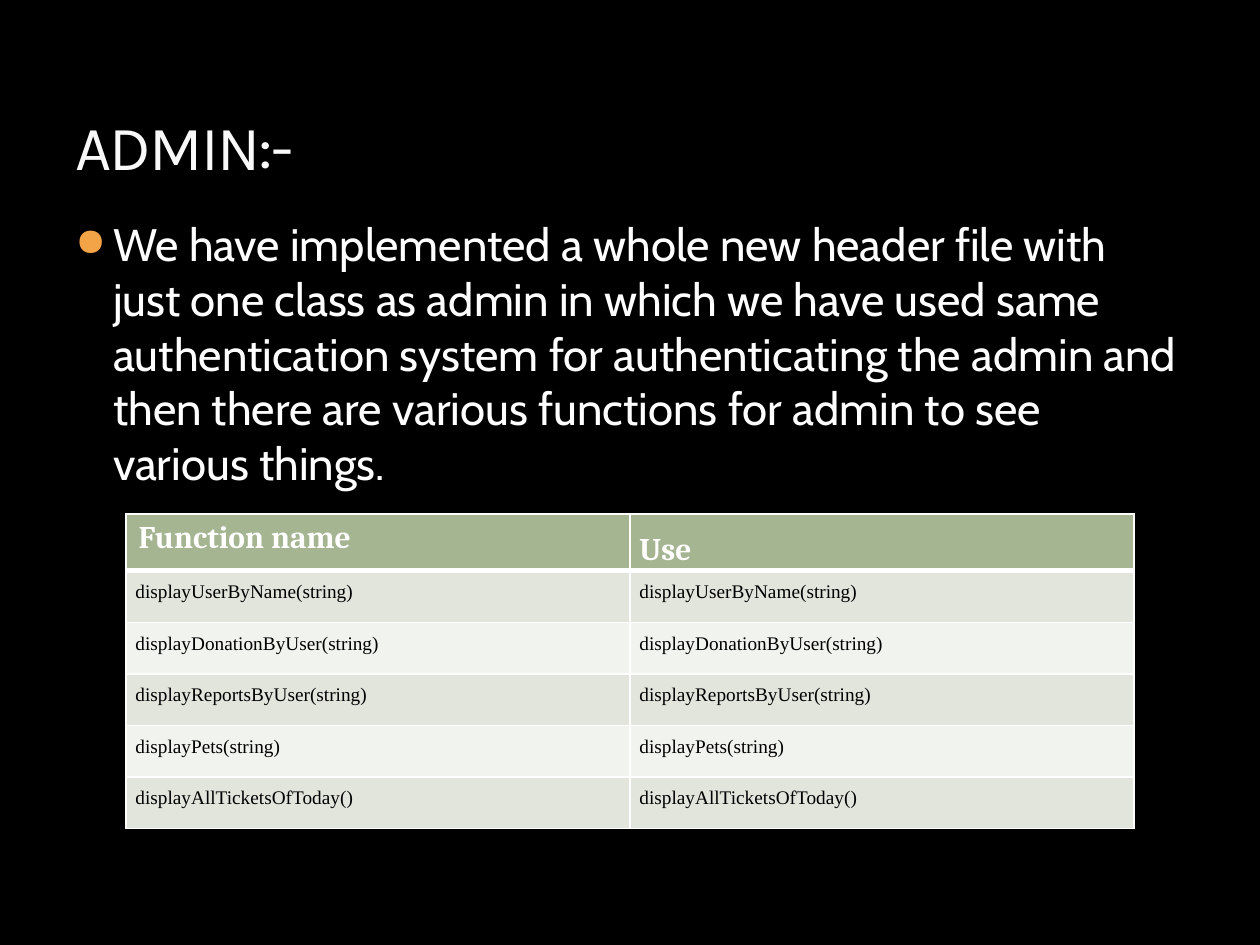
from lxml import etree
from pptx import Presentation
from pptx import util as u
from pptx.dml.color import RGBColor
from pptx.enum import text
from pptx.oxml import ns

BLACK = RGBColor(0x00, 0x00, 0x00)
WHITE = RGBColor(0xFF, 0xFF, 0xFF)
TITLE_WHITE = RGBColor(0xF9, 0xF9, 0xF9)
OUTLINE = RGBColor(0x3C, 0x44, 0x22)
ORANGE = RGBColor(0xF3, 0xA4, 0x47)
HEADER_GREEN = RGBColor(0xA5, 0xB5, 0x92)
BANDS = (RGBColor(0xE1, 0xE5, 0xDC), RGBColor(0xF0, 0xF3, 0xEE))

TITLE_FONT = {"name": "Karla", "size": u.Pt(36)}
BODY_FONT = {"name": "Cabin", "size": u.Pt(26)}
HEADER_FONT = {"name": "Cambria", "size": u.Pt(18), "bold": True}
CELL_FONT = {"name": "Times New Roman", "size": u.Pt(11), "bold": False}
TIGHT = {"margin_left": u.Cm(0.19), "margin_right": u.Cm(0.19),
         "margin_top": 0, "margin_bottom": 0}

SUMMARY = ("We have implemented a whole new header file with just one class as "
           "admin in which we have used same authentication system for "
           "authenticating the admin and then there are various functions for "
           "admin to see various things.")
HEADINGS = ("Function name", "Use")
FUNCTIONS = ("displayUserByName(string)", "displayDonationByUser(string)",
             "displayReportsByUser(string)", "displayPets(string)",
             "displayAllTicketsOfToday()")


def apply(target, values):
    """Set every attribute named in a dict of format values."""
    for key, value in values.items():
        setattr(target, key, value)


def add_xml(parent, tag, **attributes):
    """Append a DrawingML element with the given attributes."""
    return etree.SubElement(parent, ns.qn(tag), attributes)


def add_color(parent, color):
    """Append an RGB colour element."""
    return add_xml(parent, "a:srgbClr", val=str(color))


def write(paragraph, words, font, color):
    """Add a formatted run to a paragraph."""
    run = paragraph.add_run()
    run.text = words
    apply(run.font, font)
    run.font.color.rgb = color
    return run


def add_text(slide, box, words, font, color, anchor):
    """Add a wrapping text box and return its paragraph and run."""
    frame = slide.shapes.add_textbox(*map(u.Cm, box)).text_frame
    apply(frame, {"word_wrap": True, "vertical_anchor": anchor})
    paragraph = frame.paragraphs[0]
    return paragraph, write(paragraph, words, font, color)


def add_title(slide):
    """Add the title with its faint outline."""
    _, title = add_text(slide, (1.27, 0.42, 22.86, 3.39), "ADMIN:-",
                        TITLE_FONT, TITLE_WHITE, text.MSO_ANCHOR.BOTTOM)
    properties = title.font._element
    properties.set("spc", "-100")
    outline = add_xml(properties, "a:ln", w=str(u.Pt(0.25)))
    tint = add_color(add_xml(outline, "a:solidFill"), OUTLINE)
    add_xml(tint, "a:alpha", val="25000")
    properties.insert(0, outline)


def add_summary(slide):
    """Add the bulleted summary."""
    summary, _ = add_text(slide, (1.27, 4.24, 22.86, 12.7), SUMMARY,
                          BODY_FONT, WHITE, text.MSO_ANCHOR.TOP)
    summary.space_before = u.Pt(6)
    properties = summary._p.get_or_add_pPr()
    indent = u.Cm(0.76)
    properties.set("marL", str(indent))
    properties.set("indent", str(-indent))
    add_color(add_xml(properties, "a:buClr"), ORANGE)
    add_xml(properties, "a:buSzPct", val="85000")
    add_xml(properties, "a:buChar", char="●")


def set_borders(cell, top, bottom):
    """Draw white cell borders."""
    properties = cell._tc.get_or_add_tcPr()
    for side, width in (("L", 1), ("R", 1), ("T", top), ("B", bottom)):
        border = add_xml(properties, f"a:ln{side}", w=str(u.Pt(width)))
        add_color(add_xml(border, "a:solidFill"), WHITE)


def add_functions(slide):
    """Add the table of admin functions."""
    rows = [HEADINGS] + [(name, name) for name in FUNCTIONS]
    table = slide.shapes.add_table(
        len(rows), len(HEADINGS), u.Cm(2.54), u.Cm(10.36),
        u.Cm(20.32), u.Cm(1.04 * len(rows))).table
    for row, entries in enumerate(rows):
        header = row == 0
        font, color = (HEADER_FONT, WHITE) if header else (CELL_FONT, BLACK)
        for column, entry in enumerate(entries):
            cell = table.cell(row, column)
            paragraph = cell.text_frame.paragraphs[0]
            if (row, column) != (0, 0):
                apply(cell, TIGHT)
                paragraph.line_spacing = 1.5
            write(paragraph, entry, font, color)
            set_borders(cell, 3 if row == 1 else 1, 3 if header else 1)
            cell.fill.solid()
            cell.fill.fore_color.rgb = HEADER_GREEN if header else BANDS[(row - 1) % 2]


def main():
    """Build the admin slide and save it."""
    deck = Presentation()
    apply(deck, {"slide_width": u.Cm(25.4), "slide_height": u.Cm(19.05)})
    slide = deck.slides.add_slide(deck.slide_layouts[6])
    slide.background.fill.solid()
    slide.background.fill.fore_color.rgb = BLACK
    add_summary(slide)
    add_title(slide)
    add_functions(slide)
    deck.save("out.pptx")


main()
